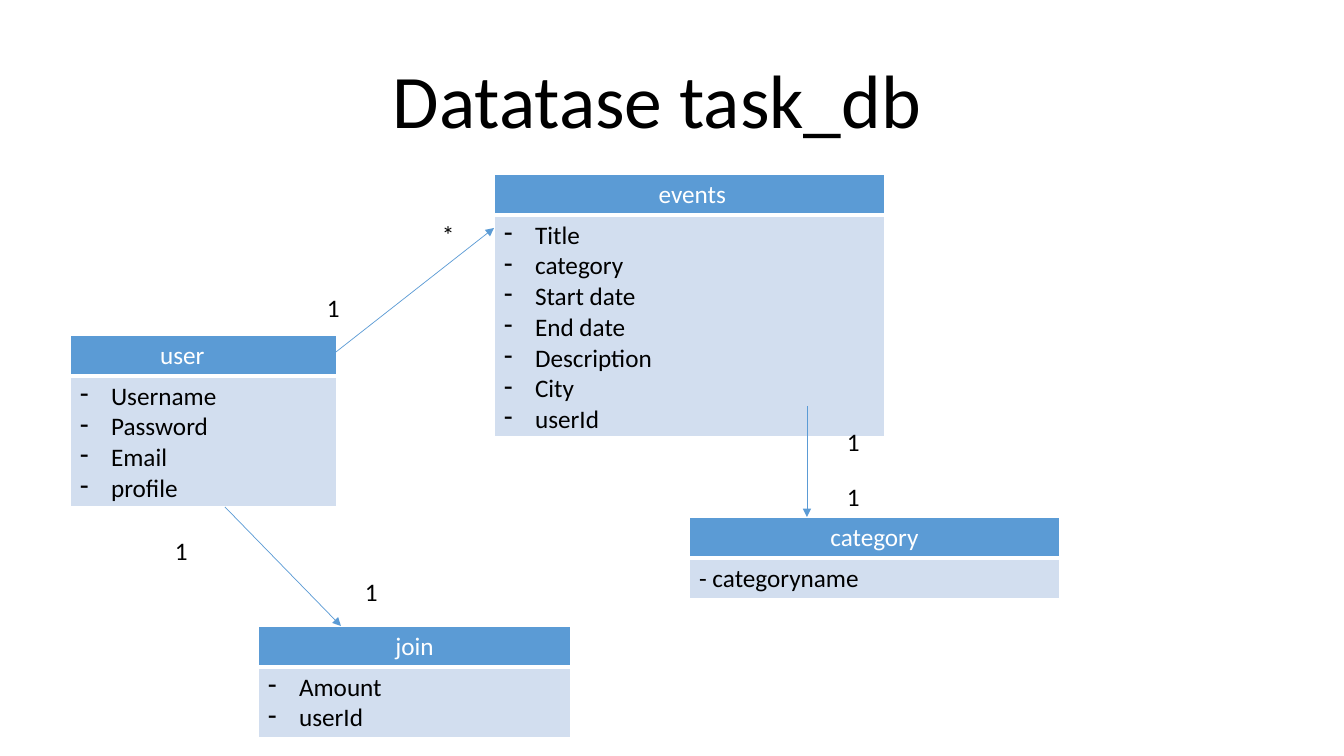
from dataclasses import dataclass

from lxml.etree import SubElement
from pptx import Presentation
from pptx.dml.color import RGBColor as Color
from pptx.enum.shapes import MSO_CONNECTOR as Link
from pptx.enum.text import MSO_AUTO_SIZE as Fit, PP_ALIGN as Align
from pptx.oxml import parse_xml
from pptx.oxml.ns import nsdecls, qn
from pptx.util import Pt


@dataclass(frozen=True)
class Theme:
    font: str = "Calibri"
    title: int = 54
    body: int = 18
    ink: str = "000000"
    paper: str = "FFFFFF"
    accent: str = "5B9BD5"
    tint: str = "D2DEEF"
    line: float = 0.5
    border: int = 1
    divider: int = 3


THEME = Theme()
HEADER = 41
INDENT = 31


def px(value):
    return round(value * 914400 / 100.8)


def style(para, size, color, align=Align.LEFT):
    para.alignment = align
    font = para.font
    font.name, font.size, font.bold = THEME.font, Pt(size), False
    font.color.rgb = Color.from_string(color)


def add_text(page, box, text, size=THEME.body, align=Align.LEFT, wrap=True):
    frame = page.shapes.add_textbox(*map(px, box)).text_frame
    frame.word_wrap = wrap
    frame.auto_size = Fit.SHAPE_TO_FIT_TEXT
    para = frame.paragraphs[0]
    para.text = text
    style(para, size, THEME.ink, align)


def add_dash(para):
    props = para._p.get_or_add_pPr()
    props.set("marL", str(px(INDENT)))
    props.set("indent", str(px(-INDENT)))
    props.insert(0, parse_xml(f'<a:buChar {nsdecls("a")} char="-"/>'))


def paint_cell(cell, fill, bottom):
    props = cell._tc.get_or_add_tcPr()
    for side in ("lnL", "lnR", "lnT", "lnB"):
        width = bottom if side == "lnB" else THEME.border
        edge = SubElement(props, qn(f"a:{side}"), w=str(Pt(width)))
        solid = SubElement(edge, qn("a:solidFill"))
        SubElement(solid, qn("a:srgbClr"), val=THEME.paper)
    cell.fill.solid()
    cell.fill.fore_color.rgb = Color.from_string(fill)


def add_entity(page, box, name, fields, dashed=True, name_indent=None):
    table = page.shapes.add_table(2, 1, *map(px, box)).table
    table.first_row = table.horz_banding = False
    table.rows[0].height = px(HEADER)
    table.rows[1].height = px(box[3] - HEADER)
    header, body = table.cell(0, 0), table.cell(1, 0)
    paint_cell(header, THEME.accent, THEME.divider)
    paint_cell(body, THEME.tint, THEME.border)

    header.text = name
    title = header.text_frame.paragraphs[0]
    style(title, THEME.body, THEME.paper, Align.LEFT if name_indent else Align.CENTER)
    if name_indent:
        title._p.get_or_add_pPr().set("marL", str(px(name_indent)))

    body.text = "\n".join(fields)
    for para in body.text_frame.paragraphs:
        style(para, THEME.body, THEME.ink)
        if dashed:
            add_dash(para)


def add_relation(page, start, end, labels):
    arrow = page.shapes.add_connector(Link.STRAIGHT, *map(px, start + end))
    arrow.line.color.rgb = Color.from_string(THEME.accent)
    arrow.line.width = Pt(THEME.line)
    SubElement(arrow.line._get_or_add_ln(), qn("a:tailEnd"), type="triangle")
    SubElement(arrow._element.spPr, qn("a:effectLst"))
    for text, left, top, width in labels:
        add_text(page, (left, top, width, 40), text)


def build_schema(page):
    add_text(page, (380, 48, 554, 102), "Datatase task_db", THEME.title, Align.CENTER, False)
    add_entity(page, (70, 335, 267, 172), "user",
               ["Username", "Password", "Email", "profile"], name_indent=80)
    add_entity(page, (494, 174, 391, 263), " events",
               ["Title", "category", "Start date", "End date", "Description", "City", "userId"])
    add_entity(page, (689, 517, 371, 82), "category", ["- categoryname"], dashed=False)
    add_entity(page, (258, 626, 313, 112), "join", ["Amount", "userId"])
    add_relation(page, (336, 352), (494, 228), [("1", 317, 287, 24), ("*", 432, 214, 33)])
    add_relation(page, (807, 406), (807, 517), [("1", 837, 421, 48), ("1", 837, 476, 48)])
    add_relation(page, (225, 507), (341, 626), [("1", 165, 530, 48), ("1", 355, 571, 45)])


deck = Presentation()
deck.slide_width, deck.slide_height = px(1344), px(756)
build_schema(deck.slides.add_slide(deck.slide_layouts[6]))
deck.save("out.pptx")
